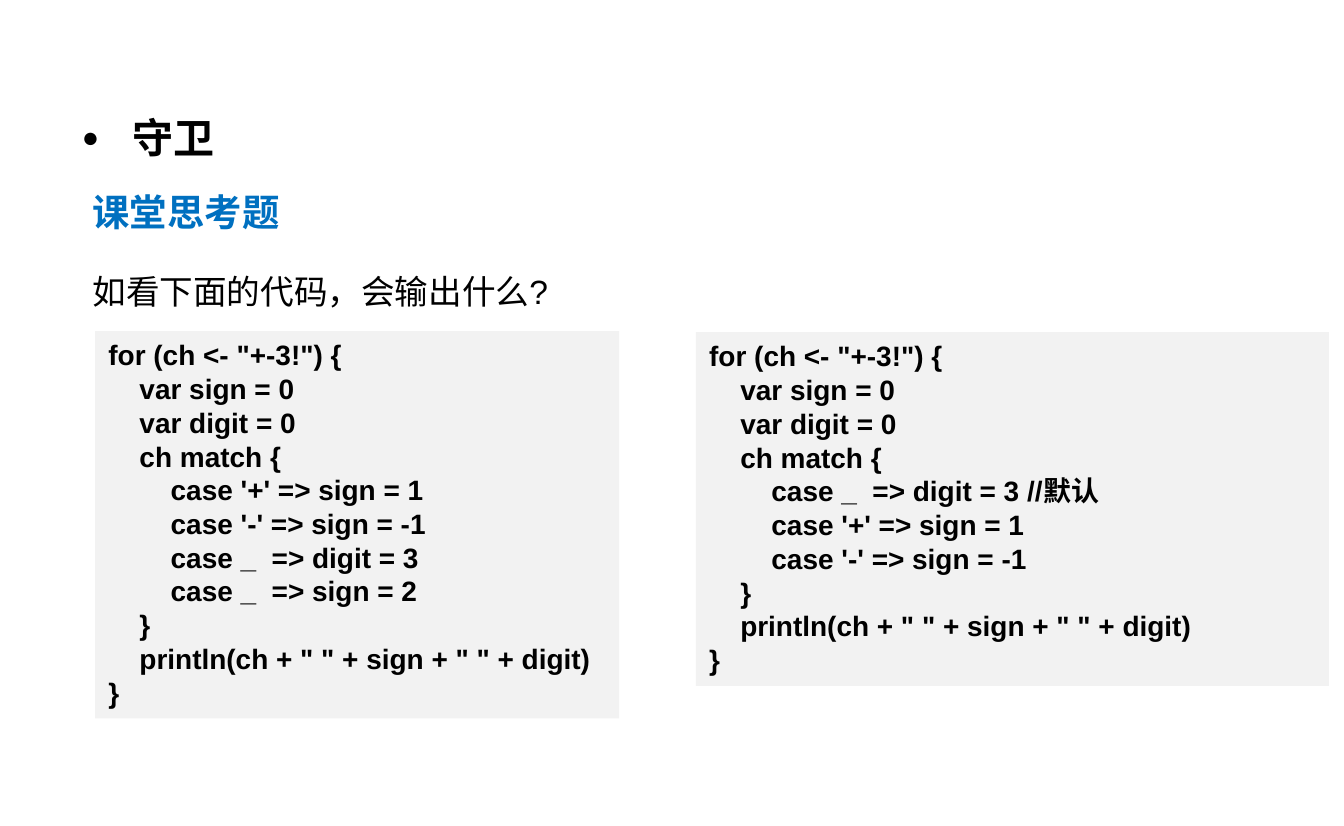
import dataclasses
import lxml.etree
import pptx
import pptx.dml.color
import pptx.enum.shapes
import pptx.enum.text
import pptx.oxml.ns
import pptx.util

Pt = pptx.util.Pt
INDENT = 16.68


@dataclasses.dataclass
class CodePanel:
    left: float
    top: float
    width: float
    height: float
    lines: list[tuple[int, str]]


def color(value: str) -> pptx.dml.color.RGBColor:
    return pptx.dml.color.RGBColor.from_string(value)


def write(para, text: str, *, size: float, font: str = "Arial", fill: str = "000000",
          bold: bool = True, spacing=None, after: float = 0, margin: float = 0,
          hanging: float = 0) -> None:
    span = para.add_run()
    span.text = text
    span.font.size = Pt(size)
    span.font.name = font
    span.font.bold = bold
    span.font.color.rgb = color(fill)
    para.alignment = pptx.enum.text.PP_ALIGN.LEFT
    para.line_spacing = spacing
    para.space_after = Pt(after)
    properties = para._p.get_or_add_pPr()
    properties.set("marL", str(Pt(margin)))
    properties.set("indent", str(-Pt(hanging)))


def add_bullet(para, char: str, percent: int) -> None:
    properties = para._p.get_or_add_pPr()
    for tag, name, value in (("a:buSzPct", "val", str(percent * 1000)),
                             ("a:buFont", "typeface", "Arial"),
                             ("a:buChar", "char", char)):
        bullet = lxml.etree.SubElement(properties, pptx.oxml.ns.qn(tag))
        bullet.set(name, value)


def prepare(box):
    frame = box.text_frame
    frame.word_wrap = True
    frame.vertical_anchor = pptx.enum.text.MSO_ANCHOR.TOP
    return frame


def add_text_box(page, left: float, top: float, width: float, height: float):
    return prepare(page.shapes.add_textbox(Pt(left), Pt(top), Pt(width), Pt(height)))


def draw_panel(page, panel: CodePanel) -> None:
    box = page.shapes.add_shape(
        pptx.enum.shapes.MSO_SHAPE.RECTANGLE,
        Pt(panel.left), Pt(panel.top), Pt(panel.width), Pt(panel.height))
    box.shadow.inherit = False
    box.fill.solid()
    box.fill.fore_color.rgb = color("F2F2F2")
    box.line.fill.background()
    frame = prepare(box)
    for number, (level, text) in enumerate(panel.lines):
        para = frame.add_paragraph() if number else frame.paragraphs[0]
        write(para, text, size=15, spacing=Pt(18.05), margin=level * INDENT)


OPENING = [(0, 'for (ch <- "+-3!") {'), (1, "var sign = 0"),
           (1, "var digit = 0"), (1, "ch match {")]
SIGN_CASES = [(2, "case '+' => sign = 1"), (2, "case '-' => sign = -1")]
CLOSING = [(1, "}"), (1, 'println(ch + " " + sign + " " + digit)'), (0, "}")]

PANELS = [
    CodePanel(51, 177.3, 280.8, 207.4, OPENING + SIGN_CASES + [
        (2, "case _  => digit = 3"), (2, "case _  => sign = 2")] + CLOSING),
    CodePanel(372.8, 177.9, 339.1, 189.4, OPENING + [
        (2, "case _  => digit = 3 //默认")] + SIGN_CASES + CLOSING),
]

deck = pptx.Presentation()
deck.slide_width = Pt(720)
deck.slide_height = Pt(442.25)
deck.element.find(pptx.oxml.ns.qn("p:sldSz")).attrib.pop("type", None)
page = deck.slides.add_slide(deck.slide_layouts[6])

title = add_text_box(page, 36.7, 59.8, 572.4, 31).paragraphs[0]
write(title, "守卫", size=22, spacing=0.9, margin=27.4, hanging=27.4)
add_bullet(title, "●", 70)

question = add_text_box(page, 42.5, 97.9, 635, 285.8)
write(question.paragraphs[0], "课堂思考题", size=20, font="Calibri",
      fill="0070C0", spacing=Pt(24), after=19)
write(question.add_paragraph(), "如看下面的代码，会输出什么?", size=18,
      bold=False, spacing=Pt(22))

for panel in PANELS:
    draw_panel(page, panel)

deck.save("out.pptx")
